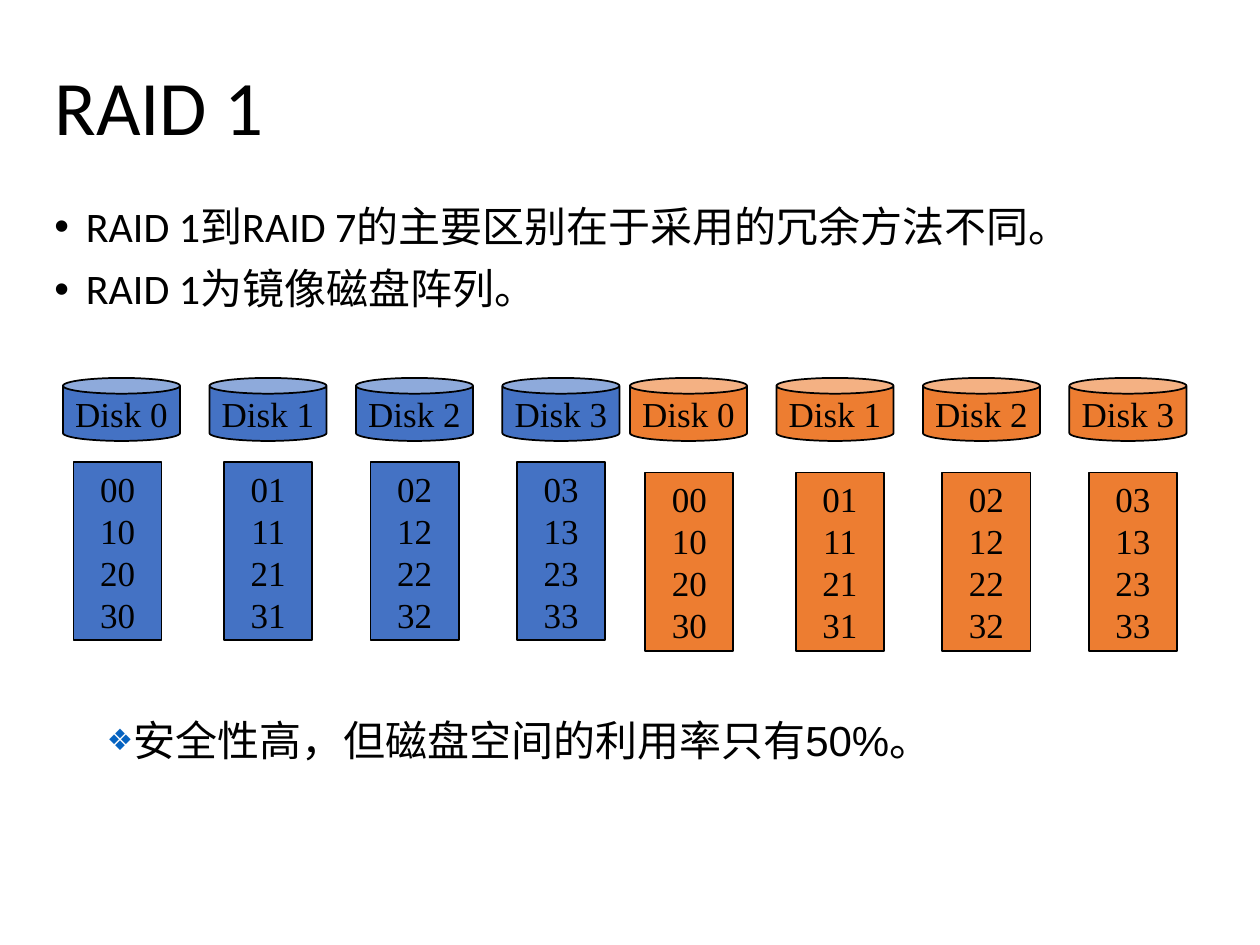
from lxml import etree
from pptx import Presentation
from pptx.dml.color import RGBColor
from pptx.enum import shapes, text
from pptx.oxml import ns
from pptx import util as u

BLACK = RGBColor(0x00, 0x00, 0x00)
BLUE = RGBColor(0x44, 0x72, 0xC4)
ORANGE = RGBColor(0xED, 0x7D, 0x31)
LINK_BLUE = RGBColor(0x05, 0x63, 0xC1)

PX = 3810  # EMU, 240 px to the inch


def px(*lengths):
    return [u.Emu(length * PX) for length in lengths]


class SlideBuilder:
    body_font = "Calibri"
    disk_font = "Times New Roman"
    note_font = "Arial"

    def __init__(self, page):
        self.page = page

    def format_paragraph(self, para, font, size):
        for span in para.runs:
            span.font.name = font
            span.font.size = u.Pt(size)
            span.font.color.rgb = BLACK

    def bullet(self, para, mark, indent=0, color=None, percent=None):
        properties = para._p.get_or_add_pPr()
        properties.set("marL", str(indent * PX))
        properties.set("indent", str(-indent * PX))
        if color is not None:
            holder = etree.SubElement(properties, ns.qn("a:buClr"))
            etree.SubElement(holder, ns.qn("a:srgbClr"), val=str(color))
        if percent is not None:
            etree.SubElement(properties, ns.qn("a:buSzPct"), val=str(percent * 1000))
        etree.SubElement(properties, ns.qn("a:buFont"), typeface="Arial")
        etree.SubElement(properties, ns.qn("a:buChar"), char=mark)

    def text_box(self, place, lines, font, size, anchor=text.MSO_ANCHOR.TOP, **bullet):
        box = self.page.shapes.add_textbox(*px(*place))
        frame = box.text_frame
        frame.word_wrap = True
        frame.vertical_anchor = anchor
        frame.text = "\n".join(lines)
        for index, para in enumerate(frame.paragraphs):
            if bullet:
                self.bullet(para, **bullet)
            para.line_spacing = 0.9
            if index:
                para.space_before = u.Pt(10)
            self.format_paragraph(para, font, size)

    def block(self, kind, place, label, fill):
        shape = self.page.shapes.add_shape(kind, *px(*place))
        shape.shadow.inherit = False
        shape.fill.solid()
        shape.fill.fore_color.rgb = fill
        shape.line.color.rgb = BLACK
        shape.line.width = u.Pt(1)
        frame = shape.text_frame
        frame.word_wrap = False
        frame.vertical_anchor = text.MSO_ANCHOR.MIDDLE
        para = frame.paragraphs[0]
        para.text = label
        para.alignment = text.PP_ALIGN.CENTER
        self.format_paragraph(para, self.disk_font, 20)

    def disk_array(self, left, fill, stripe_offset, stripe_top):
        """Four disks, each above the column of blocks it stores."""
        for disk in range(4):
            x = left + disk * 279
            self.block(shapes.MSO_SHAPE.CAN, (x, 720, 223, 120), f"Disk {disk}", fill)
            stripe_left = x + stripe_offset + (8 if disk else 0)
            blocks = "\v".join(f"{row}{disk}" for row in range(4))
            self.block(shapes.MSO_SHAPE.RECTANGLE,
                       (stripe_left, stripe_top, 168, 340), blocks, fill)


def main():
    deck = Presentation()
    deck.slide_width, deck.slide_height = px(2400, 1800)
    builder = SlideBuilder(deck.slides.add_slide(deck.slide_layouts[6]))

    # Title and main points
    builder.text_box((80, 60, 2240, 300), ["RAID 1"], builder.body_font, 44,
                     anchor=text.MSO_ANCHOR.MIDDLE)
    builder.text_box((80, 380, 2240, 280),
                     ["RAID 1到RAID 7的主要区别在于采用的冗余方法不同。",
                      "RAID 1为镜像磁盘阵列。"],
                     builder.body_font, 24, mark="•", indent=60)

    # Data disks and their mirror
    builder.disk_array(120, BLUE, stripe_offset=20, stripe_top=880)
    builder.disk_array(1200, ORANGE, stripe_offset=29, stripe_top=900)

    # Closing remark
    builder.text_box((180, 1360, 1627, 110),
                     ["安全性高，但磁盘空间的利用率只有50%。"],
                     builder.note_font, 24, mark="❖", color=LINK_BLUE, percent=70)

    deck.save("out.pptx")


if __name__ == "__main__":
    main()
